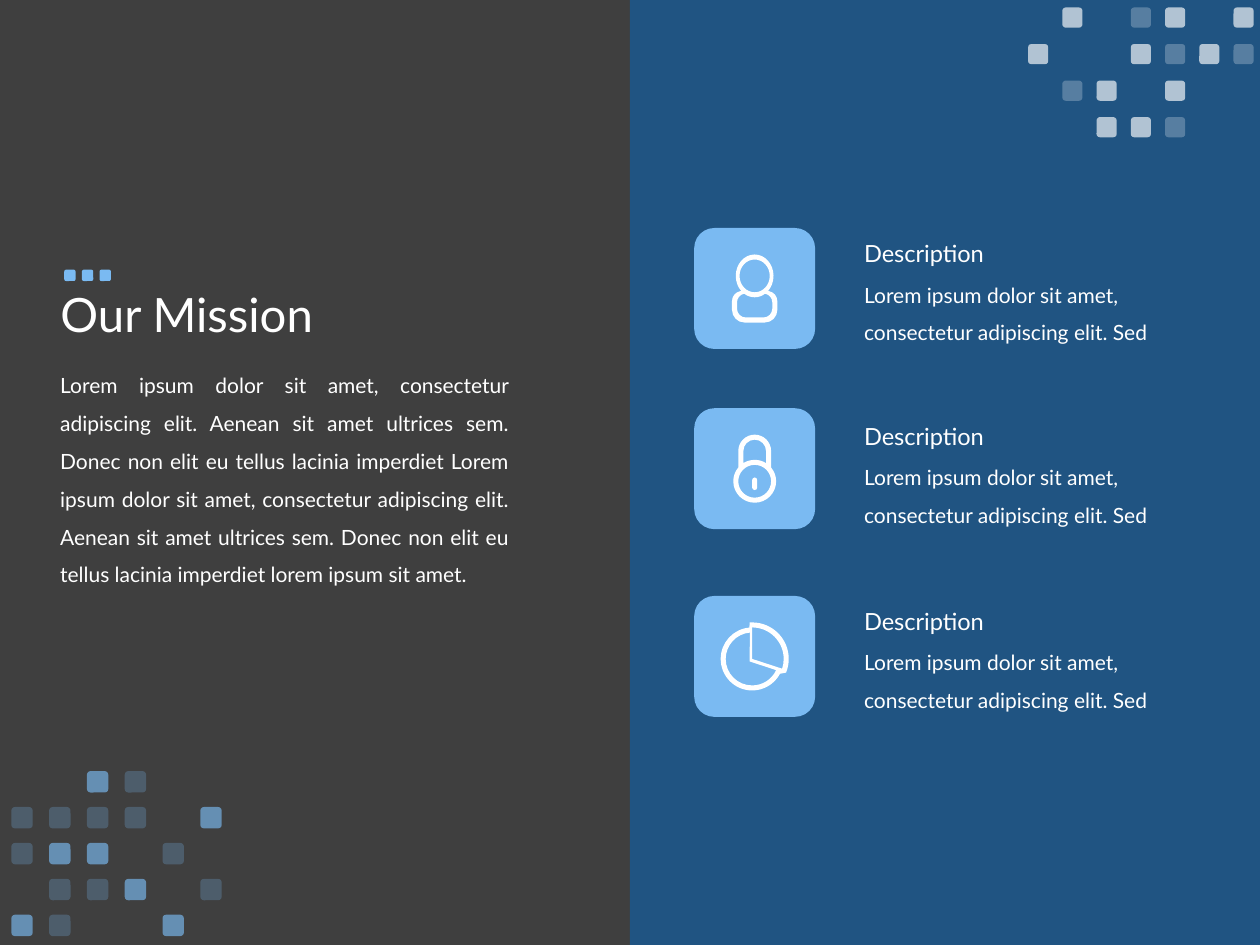
from math import ceil, cos, floor, radians, sin, tan

from lxml.etree import SubElement
from pptx import Presentation
from pptx.dml.color import RGBColor
from pptx.enum.shapes import MSO_SHAPE
from pptx.enum.text import MSO_ANCHOR, MSO_AUTO_SIZE, PP_ALIGN
from pptx.oxml.ns import qn
from pptx.util import Inches, Pt

COLORS = {"dark": "3F3F3F", "panel": "1060A6", "sky": "7ABAF2", "white": "FFFFFF"}
FONT = "Lato"
ALPHA = {"#": 65, "o": 25}
TILE = 0.96
MISSION = (
    "Lorem ipsum dolor sit amet, consectetur adipiscing elit. "
    "Aenean sit amet ultrices sem. Donec non elit eu tellus lacinia imperdiet "
    "Lorem ipsum dolor sit amet, consectetur adipiscing elit. "
    "Aenean sit amet ultrices sem. Donec non elit eu tellus lacinia imperdiet "
    "lorem ipsum sit amet."
)
DETAIL = "Lorem ipsum dolor sit amet, consectetur adipiscing elit. Sed"
TOP_DOTS = [".#.o#.#", "#..#o#o", ".o#.#..", "..##o.."]
LOW_DOTS = ["..#o..", "oooo.#", "o##.o.", ".oo#.o", "#o..#."]


def paint(shape, color, alpha=100):
    shape.shadow.inherit = False
    shape.fill.solid()
    shape.fill.fore_color.rgb = RGBColor.from_string(COLORS[color])
    shape.line.fill.background()
    if alpha < 100:
        node = shape._element.spPr.find(".//" + qn("a:srgbClr"))
        SubElement(node, qn("a:alpha")).set("val", str(alpha * 1000))


def add_block(shapes, kind, box, color, alpha=100):
    shape = shapes.add_shape(kind, *map(Inches, box))
    paint(shape, color, alpha)


def add_dots(slide, rows, first, last, size, color):
    group = slide.shapes.add_group_shape()
    across = (last[0] - first[0]) / (len(rows[0]) - 1)
    down = (last[1] - first[1]) / max(len(rows) - 1, 1)
    for i, row in enumerate(rows):
        for j, mark in enumerate(row):
            if mark != ".":
                box = (first[0] + j * across, first[1] + i * down, size, size)
                add_block(group.shapes, MSO_SHAPE.ROUNDED_RECTANGLE, box,
                          color, ALPHA.get(mark, 100))


def write(frame, text, size, spacing=None, align=PP_ALIGN.LEFT):
    para = frame.paragraphs[0]
    para.alignment = align
    para.line_spacing = spacing
    run = para.add_run()
    run.text = text
    run.font.name = FONT
    run.font.size = Pt(size)
    run.font.color.rgb = RGBColor.from_string(COLORS["white"])


def add_text(slide, box, *style):
    frame = slide.shapes.add_textbox(*map(Inches, box)).text_frame
    frame.word_wrap = True
    frame.auto_size = MSO_AUTO_SIZE.SHAPE_TO_FIT_TEXT
    write(frame, *style)


def add_title(slide):
    title = slide.shapes.title
    title.left, title.top, title.width, title.height = map(
        Inches, (0.38, 1.68, 8.62, 1.67))
    frame = title.text_frame
    frame.auto_size = MSO_AUTO_SIZE.NONE
    frame.vertical_anchor = MSO_ANCHOR.MIDDLE
    write(frame, "Our Mission", 27, 0.9)


def arc(x, y, wide, high, start, end):
    low, top = sorted((start, end))
    inner = [90 * n for n in range(floor(low / 90) + 1, ceil(top / 90))]
    stops = sorted([low, *inner, top], reverse=start > end)

    def spot(turn, pull=0):
        return (x + wide * (cos(turn) - pull * sin(turn)),
                y + high * (sin(turn) + pull * cos(turn)))

    steps = [[spot(radians(start))]]
    for a, b in zip(map(radians, stops), map(radians, stops[1:])):
        pull = 4 / 3 * tan((b - a) / 4)
        steps.append([spot(a, pull), spot(b, -pull), spot(b)])
    return steps


def ring(x, y, radius, start=0, end=360):
    return arc(x, y, radius, radius, start, end)


def user_loops():
    body = (arc(0, -0.1, 0.15, 0.17, 135, 405) + ring(0.1, 0.1, 0.08, 280, 360)
            + ring(0.08, 0.17, 0.1, 0, 90) + ring(-0.08, 0.17, 0.1, 90, 180)
            + ring(-0.1, 0.1, 0.08, 180, 260))
    face = arc(0, -0.1, 0.12, 0.13, 0, 360)
    chest = (arc(0, -0.1, 0.15, 0.17, 55, 125) + ring(-0.07, 0.11, 0.07, 260, 180)
             + ring(-0.07, 0.16, 0.07, 180, 90) + ring(0.07, 0.16, 0.07, 90, 0)
             + ring(0.07, 0.11, 0.07, 0, -80))
    return [body, face, chest]


def lock_loops():
    case = ring(0, -0.14, 0.13, 180, 360) + ring(0, 0.1, 0.17, -40, 220)
    bow = ring(0, -0.14, 0.09, 180, 360) + ring(0, 0.1, 0.17, -58, -122)
    slot = ring(0, 0.09, 0.02, 180, 360) + ring(0, 0.15, 0.02, 0, 180)
    return [case, bow, ring(0, 0.1, 0.13), slot]


def pie_loops():
    x, y = -0.02, 0.02
    edge = [[(-0.04, -0.27)]] + ring(x, y, 0.29, 270, 382) + ring(x, y, 0.25, 28, 265)
    base = [[(-0.04, 0.04)]] + ring(x, y, 0.21, 25, 265)
    wedge = [[(x, y)]] + ring(x, y, 0.25, -90, 18)
    return [edge, base, wedge]


def bend(shape, loops):
    path = shape._element.spPr.find(".//" + qn("a:path"))
    lines = iter(path.findall(qn("a:lnTo")))
    for step in (step for loop in loops for step in loop[1:]):
        parts = [next(lines) for _ in step]
        if len(parts) == 3:
            curve = SubElement(path, qn("a:cubicBezTo"))
            parts[0].addprevious(curve)
            for part in parts:
                curve.append(part[0])
                path.remove(part)


def add_icon(slide, x, y, loops):
    paths = [[(Inches(x + a), Inches(y + b)) for step in loop for a, b in step]
             for loop in loops]
    pen = slide.shapes.build_freeform(*paths[0][0])
    pen.add_line_segments(paths[0][1:], close=True)
    for path in paths[1:]:
        pen.move_to(*path[0])
        pen.add_line_segments(path[1:], close=True)
    shape = pen.convert_to_shape()
    bend(shape, [loop + [[loop[0][0]]] for loop in loops]
         if any(p[0] != p[-1] for p in paths) and closes(shape, paths) else loops)
    paint(shape, "white")


def closes(shape, paths):
    lines = shape._element.spPr.findall(".//" + qn("a:lnTo"))
    return len(lines) > sum(len(path) - 1 for path in paths)


def add_item(slide, top, head, loops):
    left = 5.51
    add_block(slide.shapes, MSO_SHAPE.ROUNDED_RECTANGLE, (left, top, TILE, TILE), "sky")
    add_text(slide, (6.76, head + 0.24, 2.98, 0.67), DETAIL, 12, 1.5)
    add_text(slide, (6.76, head, 1.76, 0.33), "Description", 13.5)
    add_icon(slide, left + TILE / 2, top + TILE / 2, loops)


def main():
    deck = Presentation()
    deck.slide_width, deck.slide_height = Inches(10), Inches(7.5)
    slide = deck.slides.add_slide(deck.slide_layouts[5])
    slide.background.fill.solid()
    slide.background.fill.fore_color.rgb = RGBColor.from_string(COLORS["dark"])
    add_title(slide)
    add_block(slide.shapes, MSO_SHAPE.RECTANGLE, (5, 0, 5, 7.5), "panel", 65)
    add_text(slide, (0.38, 2.81, 3.76, 1.88), MISSION, 12, 1.5, PP_ALIGN.JUSTIFY)
    add_item(slide, 1.81, 1.85, user_loops())
    add_item(slide, 3.24, 3.3, lock_loops())
    add_item(slide, 4.73, 4.77, pie_loops())
    add_dots(slide, ["xxx"], (0.51, 2.14), (0.79, 2.14), 0.09, "sky")
    add_dots(slide, TOP_DOTS, (8.16, 0.06), (9.79, 0.93), 0.16, "white")
    add_dots(slide, LOW_DOTS, (0.09, 6.12), (1.59, 7.26), 0.17, "sky")
    deck.save("out.pptx")


if __name__ == "__main__":
    main()
